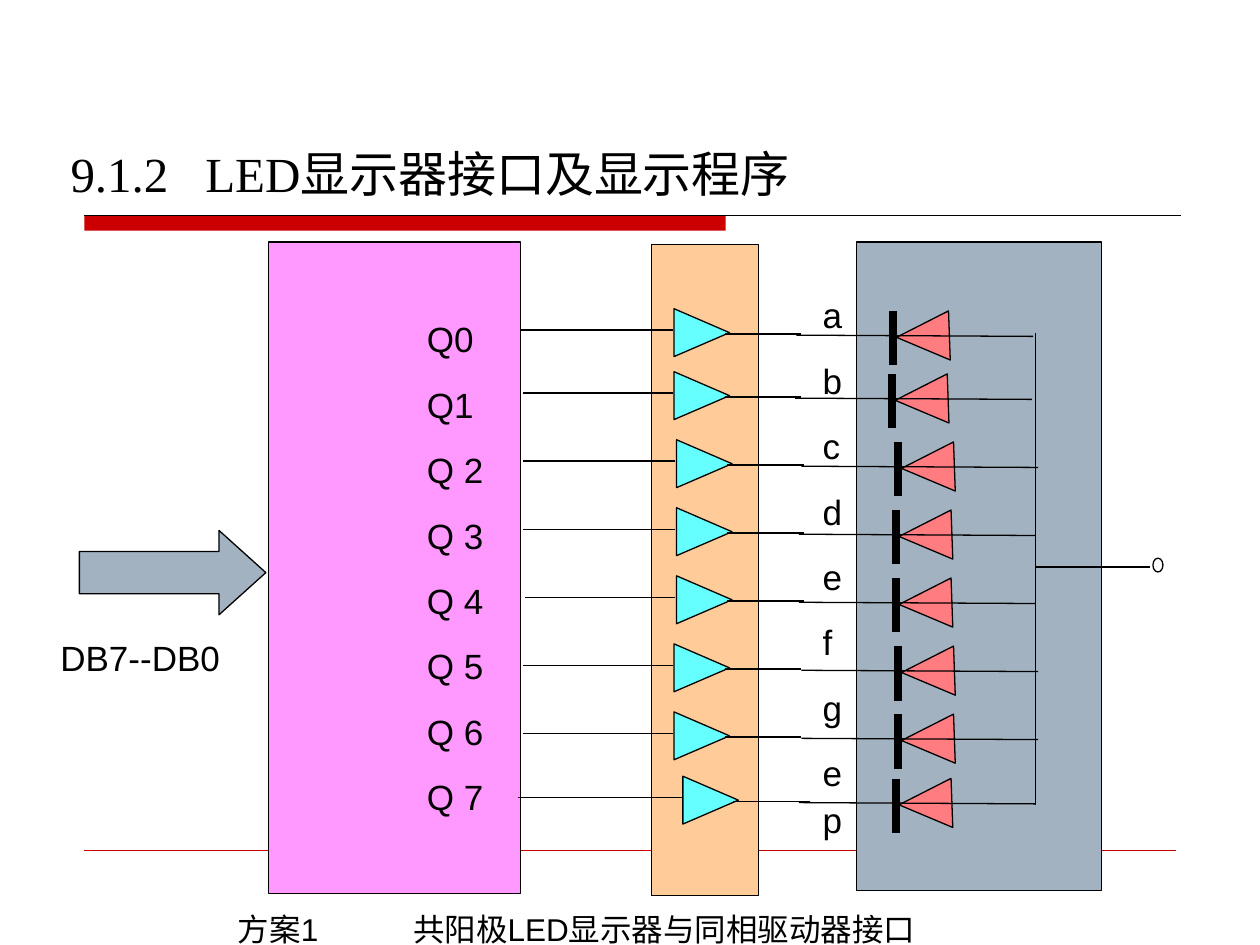
import lxml.etree
import pptx
import pptx.dml.color
import pptx.enum.shapes
import pptx.enum.text
import pptx.oxml.ns
import pptx.util

Kind = pptx.enum.shapes.MSO_SHAPE
Anchor = pptx.enum.text.MSO_ANCHOR
colour = pptx.dml.color.RGBColor.from_string
qn = pptx.oxml.ns.qn

deck = pptx.Presentation()
deck.slide_width = pptx.util.Inches(10)
deck.slide_height = pptx.util.Inches(7.5)
unit = deck.slide_width / 10  # the slide is a grid of 10 columns by 7.5 rows
page = deck.slides.add_slide(deck.slide_layouts[5])


def add_block(kind, bounds, fill, line="000000", rotation=0):
    block = page.shapes.add_shape(kind, *(round(part * unit) for part in bounds))
    block.shadow.inherit = False
    block.rotation = rotation
    if fill:
        block.fill.solid()
        block.fill.fore_color.rgb = colour(fill)
    else:
        block.fill.background()
    if line:
        block.line.color.rgb = colour(line)
        block.line.width = pptx.util.Pt(0.75)
    else:
        block.line.fill.background()
    return block


def add_wire(x1, y1, x2, y2, width=0.75, line="000000"):
    wire = page.shapes.add_connector(
        pptx.enum.shapes.MSO_CONNECTOR.STRAIGHT,
        *(round(part * unit) for part in (x1, y1, x2, y2)))
    wire.line.color.rgb = colour(line)
    wire.line.width = pptx.util.Pt(width)
    lxml.etree.SubElement(wire._element.spPr, qn("a:effectLst"))


# Rules of the page
add_block(Kind.RECTANGLE, (0.67, 1.71, 5.09, 0.12), "CC0000", None)
add_wire(0.67, 1.71, 9.37, 1.71)
add_wire(0.67, 6.75, 9.33, 6.75, 0.25, "CC0000")

# Latch, driver and display panels, with the data bus arrow
add_block(Kind.RECTANGLE, (5.17, 1.94, 0.85, 5.17), "FFCC99")
add_block(Kind.RECTANGLE, (2.13, 1.92, 2, 5.17), "FF99FF")
add_block(Kind.RECTANGLE, (6.8, 1.92, 1.94, 5.15), "A3B2C1")
bus = add_block(Kind.RIGHT_ARROW, (0.63, 4.21, 1.48, 0.67), "A3B2C1")
bus.adjustments[1] = 0.555

# Each channel: centre height, latch pin, left of the buffer, left of the diode
channels = [
    (2.64, 4.13, 5.38, 7.13),
    (3.14, 4.15, 5.38, 7.12),
    (3.68, 4.15, 5.40, 7.17),
    (4.22, 4.15, 5.40, 7.15),
    (4.76, 4.17, 5.40, 7.15),
    (5.30, 4.15, 5.38, 7.17),
    (5.84, 4.15, 5.38, 7.17),
    (6.35, 4.11, 5.45, 7.15),
]
for centre, pin, buffer, diode in channels:
    joint = buffer - 0.46
    add_block(Kind.FLOWCHART_MERGE, (buffer, centre - 0.22, 0.38, 0.44), "66FFFF", rotation=270)
    add_wire(pin, centre - 0.02, joint, centre - 0.02)
    add_wire(joint, centre - 0.02, buffer - 0.04, centre - 0.02)
    add_wire(buffer + 0.37, centre + 0.01, buffer + 0.98, centre + 0.01)
    add_block(Kind.FLOWCHART_EXTRACT, (diode, centre - 0.18, 0.39, 0.42), "FF7C80", rotation=268)
    add_wire(diode - 0.04, centre + 0.26, diode - 0.04, centre - 0.17, 4.5)
    add_wire(diode + 1.07, centre + 0.03, diode - 0.81, centre + 0.02)

# Common anode
add_wire(8.22, 2.64, 8.22, 6.39)
add_wire(8.22, 4.5, 9.13, 4.5)
add_block(Kind.OVAL, (9.15, 4.43, 0.08, 0.11), None)

# Each text: bounds, font, size, line spacing, tab stop, lines
outputs = ["Q0", "Q1", "Q 2", "Q 3", "Q 4", "Q 5", "Q 6", "Q 7"]
segments = ["a", "b", "c", "d", "e", "f", "g", "ep"]
texts = [
    ((0.46, 1.11, 8.75, 0.55), "Times New Roman", 28, 1, 1.07, ["9.1.2\tLED显示器接口及显示程序"]),
    ((3.29, 2.44, 0.88, 4.2), "Arial", 20, 1.1, None, outputs),
    ((0.38, 5, 1.48, 0.43), "Arial", 20, 1, None, ["DB7--DB0"]),
    ((6.43, 2.25, 0.5, 4.73), "Arial", 20, 1.1, None, segments),
    ((1.79, 7.17, 7.5, 0.5), "Arial", 18, 1, 1.39, ["方案1\t共阳极LED显示器与同相驱动器接口"]),
]
for bounds, font, size, spacing, tab, lines in texts:
    is_title = size == 28
    box = page.shapes.title if is_title else page.shapes.add_textbox(0, 0, 0, 0)
    box.left, box.top, box.width, box.height = (round(part * unit) for part in bounds)
    frame = box.text_frame
    frame.word_wrap = True
    frame.auto_size = pptx.enum.text.MSO_AUTO_SIZE.NONE
    frame.vertical_anchor = Anchor.BOTTOM if is_title else Anchor.TOP
    frame.text = "\n".join(lines)
    for index, para in enumerate(frame.paragraphs):
        if tab:
            stops = lxml.etree.SubElement(para._p.get_or_add_pPr(), qn("a:tabLst"))
            lxml.etree.SubElement(stops, qn("a:tab"), pos=str(round(tab * unit)), algn="l")
        para.alignment = pptx.enum.text.PP_ALIGN.LEFT
        para.line_spacing = spacing
        para.space_before = pptx.util.Pt(11 if index else 0)
        para.font.name = font
        para.font.size = pptx.util.Pt(size)
        para.font.color.rgb = colour("000000")

deck.save("out.pptx")
